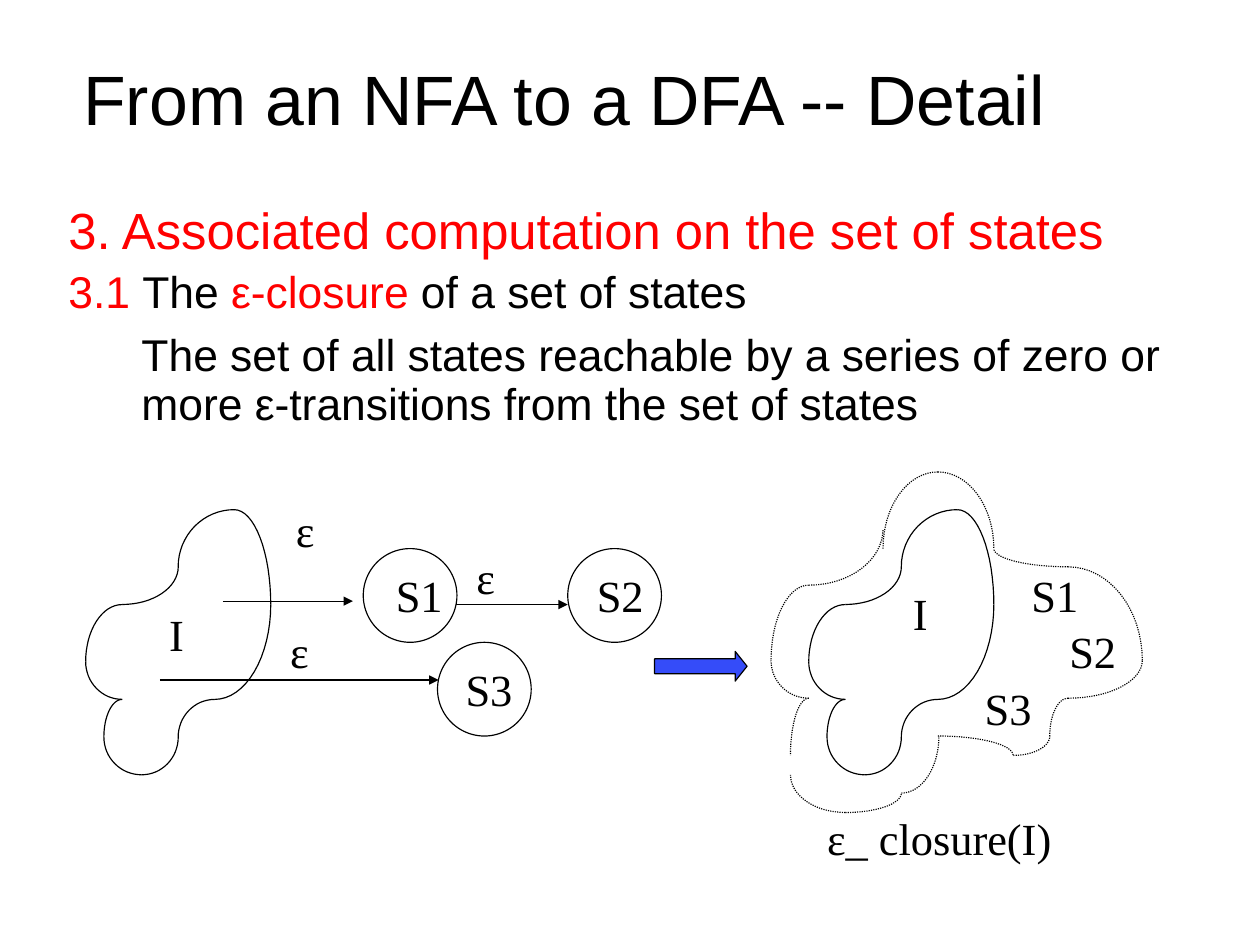
from math import cos, pi, sin

from lxml.etree import SubElement
from pptx import Presentation
from pptx.dml.color import RGBColor
from pptx.enum.dml import MSO_LINE
from pptx.enum.shapes import MSO_CONNECTOR, MSO_SHAPE
from pptx.enum.text import MSO_ANCHOR, MSO_AUTO_SIZE, PP_ALIGN
from pptx.oxml.ns import qn
from pptx.util import Inches, Pt

BLACK = RGBColor(0x00, 0x00, 0x00)
RED = RGBColor(0xFF, 0x00, 0x00)
BLUE = RGBColor(0x35, 0x4C, 0xF9)

TITLE = {"name": "Arial", "size": Pt(44)}
HEAD = {"name": "Arial", "size": Pt(32)}
BODY = {"name": "Arial", "size": Pt(28)}
LABEL = {"name": "Times New Roman", "size": Pt(28)}

ARC_STEPS = 16
DIAMETER = 0.82

SET_I = [(1.62, 0.83), (1.13, 1.66), (0.81, 1.99), (0.49, 2.32), (0.16, 1.99),
         (0.32, 1.66), (0, 1.33), (0.32, 0.83), (0.81, 0.5), (1.3, 0), (1.62, 0.83)]
CLOSURE = [
    [(0.98, 0.67), (1.46, 0), (1.95, 0.67), (2.6, 0.83), (3.25, 1.65),
     (2.6, 1.98), (2.44, 2.31), (2.12, 2.48)],
    [(2.12, 2.48), (1.46, 2.31)],
    [(1.47, 2.31), (1.14, 2.81)],
    [(1.14, 2.81), (0.65, 2.98), (0.17, 2.65)],
    [(0.17, 2.48), (0.33, 1.98), (0, 1.65), (0.33, 0.99), (0.98, 0.5)],
]


def add_run(p, text, fmt, color=BLACK):
    r = p.add_run()
    r.text = text
    for key, value in fmt.items():
        setattr(r.font, key, value)
    r.font.color.rgb = color


def set_frame(tf, **fmt):
    for key, value in fmt.items():
        setattr(tf, key, value)


def set_line(sp, dash=None):
    sp.line.color.rgb = BLACK
    sp.line.width = Pt(0.75)
    if dash:
        sp.line.dash_style = dash


def add_label(s, text, x, y, w, h=0.5, align=PP_ALIGN.CENTER):
    tf = s.shapes.add_textbox(Inches(x), Inches(y), Inches(w), Inches(h)).text_frame
    edge = Inches(0.01)
    set_frame(tf, word_wrap=True, margin_left=edge, margin_right=edge,
              margin_top=edge, margin_bottom=edge)
    p = tf.paragraphs[0]
    p.alignment = align
    add_run(p, text, LABEL)


def add_arc(s, flat, upright, dash):
    (x0, y0), (x1, y1) = flat, upright
    angles = [i * pi / 2 / ARC_STEPS for i in range(ARC_STEPS + 1)]
    points = [(Inches(x0 + (x1 - x0) * sin(a)), Inches(y1 + (y0 - y1) * cos(a)))
              for a in angles]
    builder = s.shapes.build_freeform(*points[0])
    builder.add_line_segments(points[1:], close=False)
    sp = builder.convert_to_shape()
    sp.shadow.inherit = False
    sp.fill.background()
    set_line(sp, dash)


def add_outline(s, x, y, points, dash=None):
    points = [(x + dx, y + dy) for dx, dy in points]
    for i, (a, b) in enumerate(zip(points, points[1:])):
        flat, upright = (a, b) if i % 2 else (b, a)
        add_arc(s, flat, upright, dash)


def add_state(s, x, y):
    sp = s.shapes.add_shape(MSO_SHAPE.OVAL, Inches(x), Inches(y),
                            Inches(DIAMETER), Inches(DIAMETER))
    sp.shadow.inherit = False
    sp.fill.background()
    set_line(sp)


def add_transition(s, x0, x1, y):
    c = s.shapes.add_connector(MSO_CONNECTOR.STRAIGHT, Inches(x0), Inches(y),
                               Inches(x1), Inches(y))
    set_line(c)
    SubElement(c.line._get_or_add_ln(), qn("a:tailEnd"), type="triangle")
    SubElement(c._element.spPr, qn("a:effectLst"))


def add_title(s, x, y, w, h):
    sp = s.shapes.title
    sp.left, sp.top, sp.width, sp.height = map(Inches, (x, y, w, h))
    tf = sp.text_frame
    set_frame(tf, word_wrap=True, auto_size=MSO_AUTO_SIZE.NONE,
              vertical_anchor=MSO_ANCHOR.MIDDLE, margin_left=0, margin_right=0,
              margin_top=0, margin_bottom=Inches(0.05))
    p = tf.paragraphs[0]
    p.alignment = PP_ALIGN.LEFT
    p.line_spacing = Pt(51)
    add_run(p, "From an NFA to a DFA -- Detail", TITLE)


def add_body(s, x, y, w, h):
    tf = s.shapes.add_textbox(Inches(x), Inches(y), Inches(w), Inches(h)).text_frame
    tf.word_wrap = True
    paragraphs = [
        [("3. Associated computation on the set of states", HEAD, RED)],
        [("3.1 ", BODY, RED), ("The ", BODY, BLACK), ("ε-closure", BODY, RED),
         (" of a set of states", BODY, BLACK)],
        [("\t", HEAD, BLACK),
         ("The set of all states reachable by a series of zero or more "
          "ε-transitions from the set of states", BODY, BLACK)],
    ]
    for i, runs in enumerate(paragraphs):
        p = tf.add_paragraph() if i else tf.paragraphs[0]
        pPr = p._p.get_or_add_pPr()
        pPr.set("marL", str(Inches(0.64)))
        pPr.set("indent", str(-Inches(0.64)))
        p.line_spacing = 0.9
        if i:
            p.space_before = Pt(6)
        for text, fmt, color in runs:
            add_run(p, text, fmt, color)


def add_nfa(s, x, y):
    add_outline(s, x, y, SET_I)
    add_label(s, "I", x + 0.47, y + 0.84, 0.65, 0.66)
    for dx, dy in [(2.43, 0.34), (4.22, 0.34), (3.08, 1.16)]:
        add_state(s, x + dx, y + dy)
    for x0, x1, dy in [(1.2, 2.34, 0.8), (3.24, 4.22, 0.83), (0.65, 3.09, 1.49)]:
        add_transition(s, x + x0, x + x1, y + dy)
    for dx, dy in [(1.83, -0.07), (3.41, 0.34), (1.78, 0.99)]:
        add_label(s, "ε", x + dx, y + dy, 0.49, 0.66, PP_ALIGN.JUSTIFY)
    for name, dx, dy, w in [("S1", 2.49, 0.5, 0.86), ("S2", 4.23, 0.5, 0.9),
                            ("S3", 3.12, 1.32, 0.82)]:
        add_label(s, name, x + dx, y + dy, w)


def add_closure(s, x, y):
    for strand in CLOSURE:
        add_outline(s, x, y, strand, MSO_LINE.ROUND_DOT)
    add_outline(s, x + 0.33, y + 0.33, SET_I)
    add_label(s, "I", x + 0.98, y + 0.99, 0.65, 0.66)
    for name, dx, dy, w in [("S1", 2.12, 0.83, 0.73), ("S2", 2.44, 1.32, 0.75),
                            ("S3", 1.73, 1.82, 0.69)]:
        add_label(s, name, x + dx, y + dy, w)
    add_label(s, "ε_ closure(I)", x + 0.48, y + 2.96, 2.89, 0.66, PP_ALIGN.JUSTIFY)


def add_block_arrow(s, x, y, w, h):
    sp = s.shapes.add_shape(MSO_SHAPE.RIGHT_ARROW, Inches(x), Inches(y),
                            Inches(w), Inches(h))
    sp.adjustments[0], sp.adjustments[1] = 0.5, 0.4
    sp.shadow.inherit = False
    sp.fill.solid()
    sp.fill.fore_color.rgb = BLUE
    set_line(sp)


def main():
    prs = Presentation()
    prs.slide_width, prs.slide_height = Inches(11.03), Inches(8.26)
    s = prs.slides.add_slide(prs.slide_layouts[5])
    add_title(s, 0.73, 0.51, 9.89, 0.77)
    add_body(s, 0.5, 1.75, 9.98, 4.95)
    add_nfa(s, 0.75, 4.46)
    add_closure(s, 6.75, 4.13)
    add_block_arrow(s, 5.73, 5.7, 0.81, 0.26)
    prs.save("out.pptx")


if __name__ == "__main__":
    main()
